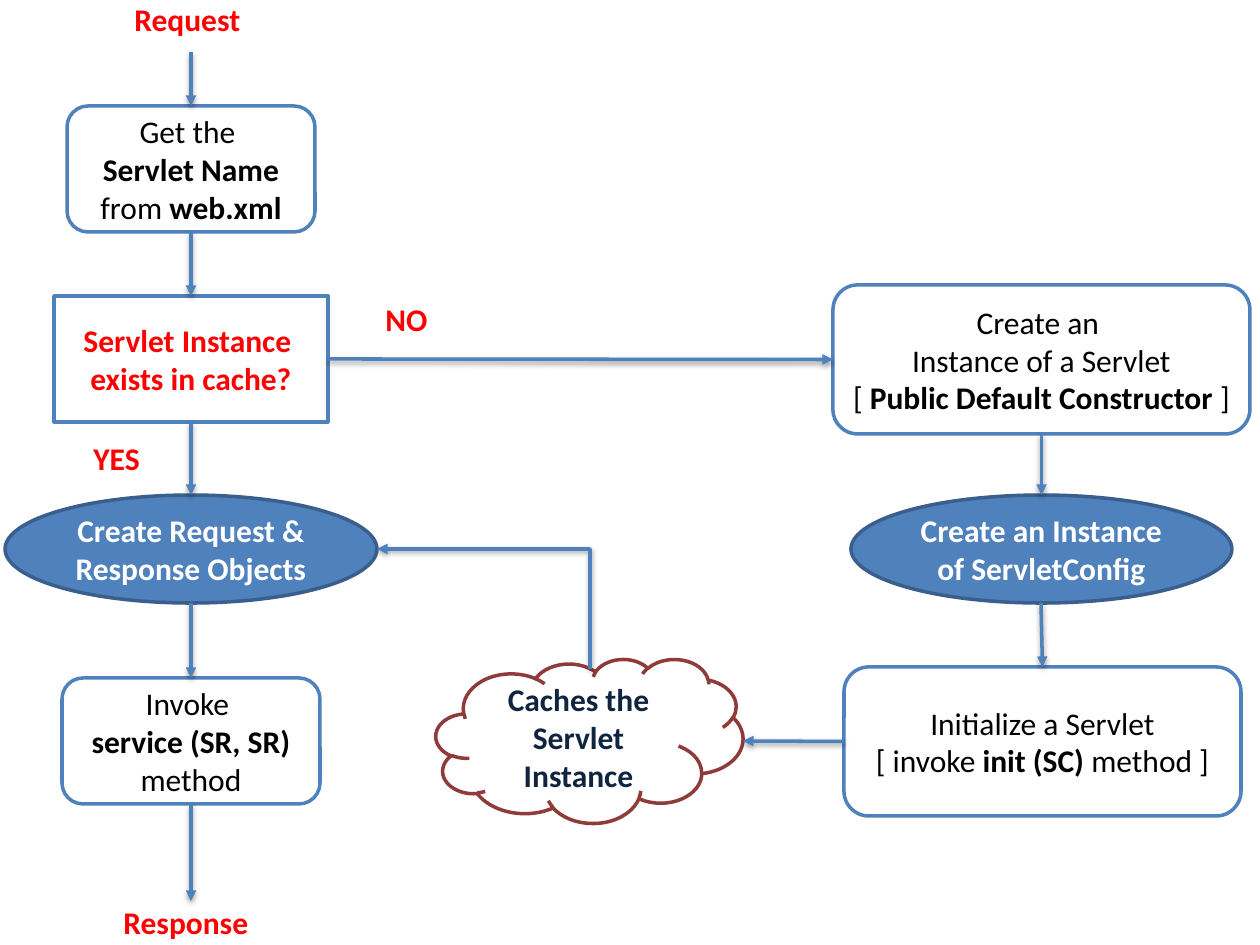
from pptx import Presentation
from pptx.dml.color import RGBColor
from pptx.enum.shapes import MSO_CONNECTOR, MSO_SHAPE
from pptx.enum.text import MSO_ANCHOR, PP_ALIGN
from pptx.oxml import parse_xml
from pptx.oxml.ns import nsdecls
from pptx.util import Pt

ROUNDED, RECTANGLE = MSO_SHAPE.ROUNDED_RECTANGLE, MSO_SHAPE.RECTANGLE
OVAL, CLOUD = MSO_SHAPE.OVAL, MSO_SHAPE.CLOUD
STRAIGHT, ELBOW = MSO_CONNECTOR.STRAIGHT, MSO_CONNECTOR.ELBOW
CENTER, LEFT = PP_ALIGN.CENTER, PP_ALIGN.LEFT
MIDDLE = MSO_ANCHOR.MIDDLE
TOP_SIDE, LEFT_SIDE, BOTTOM_SIDE, RIGHT_SIDE = range(4)

SCALE = 914400 / 126
COLORS = {
    "white": "FFFFFF", "black": "000000", "red": "FF0000", "navy": "0F243E",
    "blue": "4F81BD", "dark blue": "3A5F8C", "maroon": "8E3B39",
}
STYLES = {
    "step": (ROUNDED, "white", "blue", "black"),
    "question": (RECTANGLE, "white", "blue", "red"),
    "object": (OVAL, "blue", "dark blue", "white"),
    "cache": (CLOUD, None, "maroon", "navy"),
}
NODES = {
    "get name": ("step", (67, 106, 248, 126), [
        [("Get the ", False)],
        [("Servlet Name ", True), ("from ", False), ("web.xml", True)]]),
    "in cache": ("question", (54, 296, 274, 126), [
        [("Servlet Instance ", True)], [("exists in cache?", True)]]),
    "invoke": ("step", (62, 678, 258, 126), [
        [("Invoke ", False)],
        [("service (SR, SR)", True), (" method", False)]]),
    "create": ("step", (833, 285, 417, 149), [
        [("Create an ", False)],
        [("Instance of a Servlet", False)],
        [("[ ", False), ("Public Default Constructor ", True), ("]", False)]]),
    "initialize": ("step", (844, 667, 397, 149), [
        [("Initialize a Servlet", False)],
        [("[ invoke ", False), ("init (SC) ", True), ("method ]", False)]]),
    "config": ("object", (851, 495, 381, 108), [
        [("Create an Instance of ServletConfig", True)]]),
    "request objects": ("object", (5, 495, 372, 108), [
        [("Create Request & Response Objects", True)]]),
    "cache": ("cache", (436, 659, 307, 164), [
        [("Caches the Servlet Instance", True)]]),
}
LABELS = [
    ("Request", (122, -6, 135, 50)),
    ("Response", (111, 897, 160, 50)),
    ("NO", (373, 294, 77, 50)),
    ("YES", (81, 433, 77, 50)),
]
ARROWS = [
    ((191, 52), (191, 106), None, ("get name", TOP_SIDE)),
    ((191, 232), (191, 296), ("get name", BOTTOM_SIDE), ("in cache", TOP_SIDE)),
    ((328, 359), (833, 359), ("in cache", RIGHT_SIDE), ("create", LEFT_SIDE)),
    ((191, 422), (191, 495), ("in cache", BOTTOM_SIDE), ("request objects", TOP_SIDE)),
    ((191, 603), (191, 678), None, ("invoke", TOP_SIDE)),
    ((191, 804), (191, 901), ("invoke", BOTTOM_SIDE), None),
    ((1041, 434), (1041, 495), ("create", BOTTOM_SIDE), ("config", TOP_SIDE)),
    ((1041, 603), (1042, 667), None, ("initialize", TOP_SIDE)),
    ((844, 741), (743, 741), ("initialize", LEFT_SIDE), None),
]
RETURN_START, RETURN_END = (590, 669), (377, 549)


def emu(*lengths):
    return [round(length * SCALE) for length in lengths]


def color(name):
    return RGBColor.from_string(COLORS[name])


def write(frame, lines, ink, align):
    frame.word_wrap = True
    for index, spans in enumerate(lines):
        para = frame.add_paragraph() if index else frame.paragraphs[0]
        para.alignment = align
        para.font.name, para.font.size = "Calibri", Pt(18)
        para.font.color.rgb = color(ink)
        weights = {bold for _, bold in spans}
        if len(weights) == 1:
            para.font.bold = weights.pop()
        for text, bold in spans:
            span = para.add_run()
            span.text = text
            if len(spans) > 1:
                span.font.bold = bold


def add_node(page, style, place, lines):
    kind, fill, outline, ink = STYLES[style]
    node = page.shapes.add_shape(kind, *emu(*place))
    node.shadow.inherit = False
    if fill:
        node.fill.solid()
        node.fill.fore_color.rgb = color(fill)
    else:
        node.fill.background()
    node.line.color.rgb = color(outline)
    node.line.width = Pt(2)
    node.text_frame.vertical_anchor = MIDDLE
    write(node.text_frame, lines, ink, CENTER)
    return node


def add_arrow(page, kind, start, end):
    arrow = page.shapes.add_connector(kind, *emu(*start, *end))
    arrow.line.color.rgb = color("blue")
    arrow.line.width = Pt(2)
    arrow.line._get_or_add_ln().append(
        parse_xml(f'<a:tailEnd {nsdecls("a")} type="triangle"/>'))
    return arrow


def add_return_arrow(page, start, end):
    across, up = start[0] - end[0], start[1] - end[1]
    middle_x, middle_y = (start[0] + end[0]) / 2, (start[1] + end[1]) / 2
    left, right = middle_x - up / 2, middle_x + up / 2
    top, bottom = middle_y - across / 2, middle_y + across / 2
    arrow = add_arrow(page, ELBOW, (left, bottom), (right, top))
    properties = arrow._element.spPr
    properties.prstGeom.set("prst", "bentConnector2")
    properties.xfrm.set("rot", str(270 * 60000))


def main():
    deck = Presentation()
    deck.slide_width, deck.slide_height = emu(1260, 945)
    page = deck.slides.add_slide(deck.slide_layouts[6])
    nodes = {name: add_node(page, *node) for name, node in NODES.items()}
    for text, place in LABELS:
        box = page.shapes.add_textbox(*emu(*place))
        write(box.text_frame, [[(text, True)]], "red", LEFT)
    for start, end, source, target in ARROWS:
        arrow = add_arrow(page, STRAIGHT, start, end)
        if source:
            arrow.begin_connect(nodes[source[0]], source[1])
        if target:
            arrow.end_connect(nodes[target[0]], target[1])
    add_return_arrow(page, RETURN_START, RETURN_END)
    deck.save("out.pptx")


if __name__ == "__main__":
    main()
